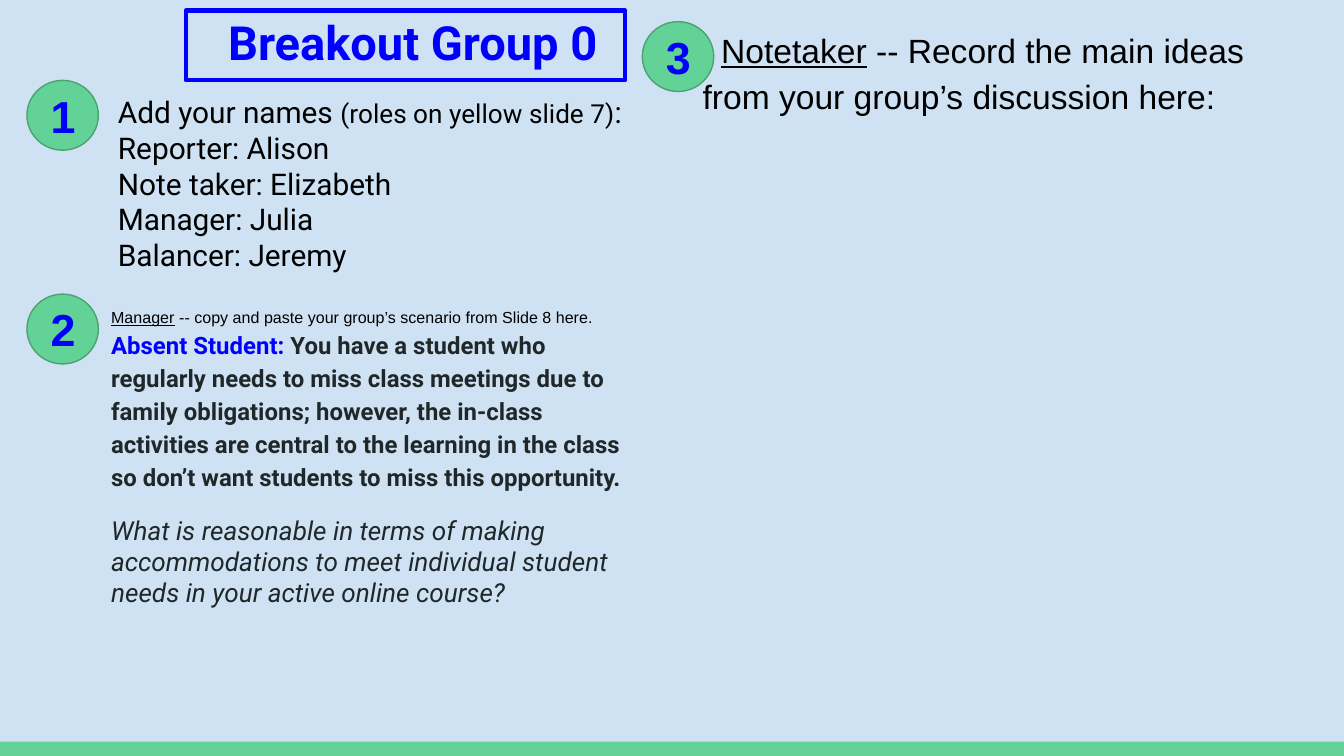
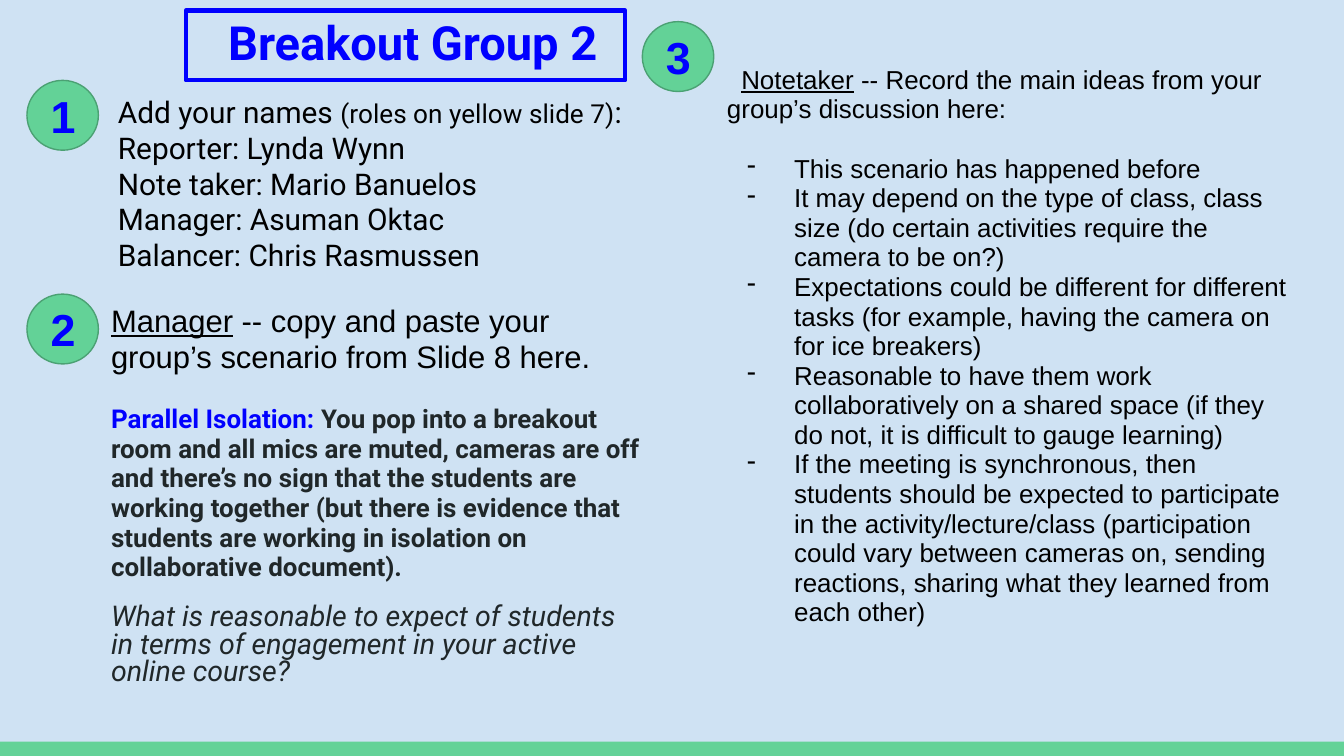
from dataclasses import dataclass

from lxml import etree
from pptx import Presentation
from pptx.dml.color import RGBColor
from pptx.enum.shapes import MSO_SHAPE
from pptx.enum.text import MSO_ANCHOR
from pptx.oxml.ns import qn
from pptx.util import Cm, Pt

RECT, OVAL = MSO_SHAPE.RECTANGLE, MSO_SHAPE.OVAL
TOP, MIDDLE = MSO_ANCHOR.TOP, MSO_ANCHOR.MIDDLE


@dataclass(frozen=True)
class Theme:
    back: str = "CFE2F3"
    green: str = "63D297"
    rim: str = "4BA173"
    blue: str = "0000FF"
    black: str = "000000"
    dark: str = "202729"
    sans: str = "Arial"
    head: str = "Roboto"
    title: float = 25.2
    badge: float = 24
    names: float = 16
    aside: float = 14


T = Theme()

# Content; sizes in points, gaps in points, indents in cm
ROLES = ("Reporter", "Note taker", "Manager", "Balancer")
GROUPS = [
    dict(
        title="Breakout Group 0",
        names=("Alison", "Elizabeth", "Julia", "Jeremy"),
        case="Absent Student:",
        story=" You have a student who regularly needs to miss class meetings due "
              "to family obligations; however, the in-class activities are central "
              "to the learning in the class so don’t want students to miss this "
              "opportunity.",
        ask="What is reasonable in terms of making accommodations to meet "
            "individual student needs in your active online course?",
        sizes=(8.6, 12.8, 14), lines=(1.15, 1.15, 1), gap=0,
        spot=(13.03, 0.2), size=18, line=1.15, first=0.35,
        notes=(),
    ),
    dict(
        title="Breakout Group 2",
        names=("Lynda Wynn", "Mario Banuelos", "Asuman Oktac", "Chris Rasmussen"),
        case="Parallel Isolation:",
        story=" You pop into a breakout room and all mics are muted, cameras are "
              "off and there’s no sign that the students are working together (but "
              "there is evidence that students are working in isolation on "
              "collaborative document).",
        ask="What is reasonable to expect of students in terms of engagement in "
            "your active online course?",
        sizes=(16.6, 13.9, 15.3), lines=(0.95, 0.95, 0.8), gap=16,
        spot=(13.49, 0.99), size=13.9, line=0.95, first=0.27,
        notes=(
            "This scenario has happened before",
            "It may depend on the type of class, class size (do certain activities "
            "require the camera to be on?)",
            "Expectations could be different for different tasks (for example, "
            "having the camera on for ice breakers)",
            "Reasonable to have them work collaboratively on a shared space (if "
            "they do not, it is difficult to gauge learning)",
            "If the meeting is synchronous, then students should be expected to "
            "participate in the activity/lecture/class (participation could vary "
            "between cameras on, sending reactions, sharing what they learned from "
            "each other)",
        ),
    ),
]
BADGES = [("1", 0.51, 1.52), ("2", 0.51, 5.56), ("3", 12.14, 0.41)]


def color(code):
    return RGBColor.from_string(code)


def run(text, size, font=T.sans, tint=T.black, **marks):
    return text, size, font, tint, marks


def para(*runs, line=1, before=0, left=0, first=0, mark=None):
    return runs, line, before, left, first, mark


def write(shape, paras, anchor=TOP):
    """Fill a shape's text frame with formatted paragraphs."""
    frame = shape.text_frame
    frame.word_wrap = True
    frame.vertical_anchor = anchor
    frame.margin_left = frame.margin_right = Cm(0.25)
    frame.margin_top = frame.margin_bottom = Cm(0.25)
    for i, (runs, line, before, left, first, mark) in enumerate(paras):
        p = frame.add_paragraph() if i else frame.paragraphs[0]
        p.line_spacing = line
        p.space_before = Pt(before)
        props = p._p.get_or_add_pPr()
        props.set("algn", "l")
        props.set("marL", str(Cm(left)))
        props.set("indent", str(Cm(first)))
        if mark:
            tone = etree.SubElement(props, qn("a:buClr"))
            etree.SubElement(tone, qn("a:srgbClr"), val=T.black)
            etree.SubElement(props, qn("a:buChar"), char=mark)
        for text, size, font, tint, marks in runs:
            r = p.add_run()
            r.text = text
            r.font.size = Pt(size)
            r.font.name = font
            r.font.color.rgb = color(tint)
            for key, on in marks.items():
                setattr(r.font, key, on)


def box(slide, x, y, w, h, paras):
    write(slide.shapes.add_textbox(Cm(x), Cm(y), Cm(w), Cm(h)), paras)


def shape(slide, kind, x, y, w, h, fill=None, edge=None, width=0.75):
    s = slide.shapes.add_shape(kind, Cm(x), Cm(y), Cm(w), Cm(h))
    s.shadow.inherit = False
    if fill:
        s.fill.solid()
        s.fill.fore_color.rgb = color(fill)
    else:
        s.fill.background()
    if edge:
        s.line.color.rgb = color(edge)
        s.line.width = Pt(width)
    else:
        s.line.fill.background()
    return s


def build(slide, g):
    # Background, footer band and framed title
    slide.background.fill.solid()
    slide.background.fill.fore_color.rgb = color(T.back)
    shape(slide, RECT, 0, 14.02, 25.4, 0.27, fill=T.green)
    shape(slide, RECT, 3.51, 0.2, 8.31, 1.32, edge=T.blue, width=2.25)
    box(slide, 4.06, 0, 8.31, 1.32,
        [para(run(g["title"], T.title, T.head, T.blue, bold=True))])

    # Scenario
    (small, body, ask), (l1, l2, l3) = g["sizes"], g["lines"]
    box(slide, 1.85, 5.51, 10.57, 8.31, [
        para(run("Manager", small, underline=True),
             run(" -- copy and paste your group’s scenario from Slide 8 here.", small),
             line=l1),
        para(run(g["case"], body, T.head, T.blue, bold=True),
             run(g["story"], body, T.head, T.dark, bold=True),
             line=l2, before=g["gap"]),
        para(run(g["ask"], ask, T.head, T.dark, italic=True), line=l3, before=12),
    ])

    # Discussion notes
    size, line = g["size"], g["line"]
    notes = [para(run("Notetaker", size, underline=True),
                  run(" -- Record the main ideas from your group’s discussion here:",
                      size),
                  line=line, first=g["first"])]
    for i, note in enumerate(g["notes"]):
        notes.append(para(run(note, size), line=line, before=0 if i else 16,
                          left=1.27, first=-0.89, mark="-"))
    box(slide, *g["spot"], 11.35, 12.29, notes)

    # Names and roles
    names = [para(run("Add your names ", T.names, T.head),
                  run("(roles on yellow slide 7)", T.aside, T.head),
                  run(":", T.names, T.head))]
    names += [para(run(f"{role}: {name}", T.names, T.head))
              for role, name in zip(ROLES, g["names"])]
    box(slide, 1.98, 1.52, 10.03, 3.94, names)

    # Numbered badges
    for label, x, y in BADGES:
        dot = shape(slide, OVAL, x, y, 1.35, 1.32, fill=T.green, edge=T.rim)
        write(dot, [para(run(label, T.badge, tint=T.blue, bold=True))], MIDDLE)


def main():
    deck = Presentation()
    deck.slide_width, deck.slide_height = Cm(25.4), Cm(14.29)
    for g in GROUPS:
        build(deck.slides.add_slide(deck.slide_layouts[6]), g)
    deck.save("out.pptx")


if __name__ == "__main__":
    main()
